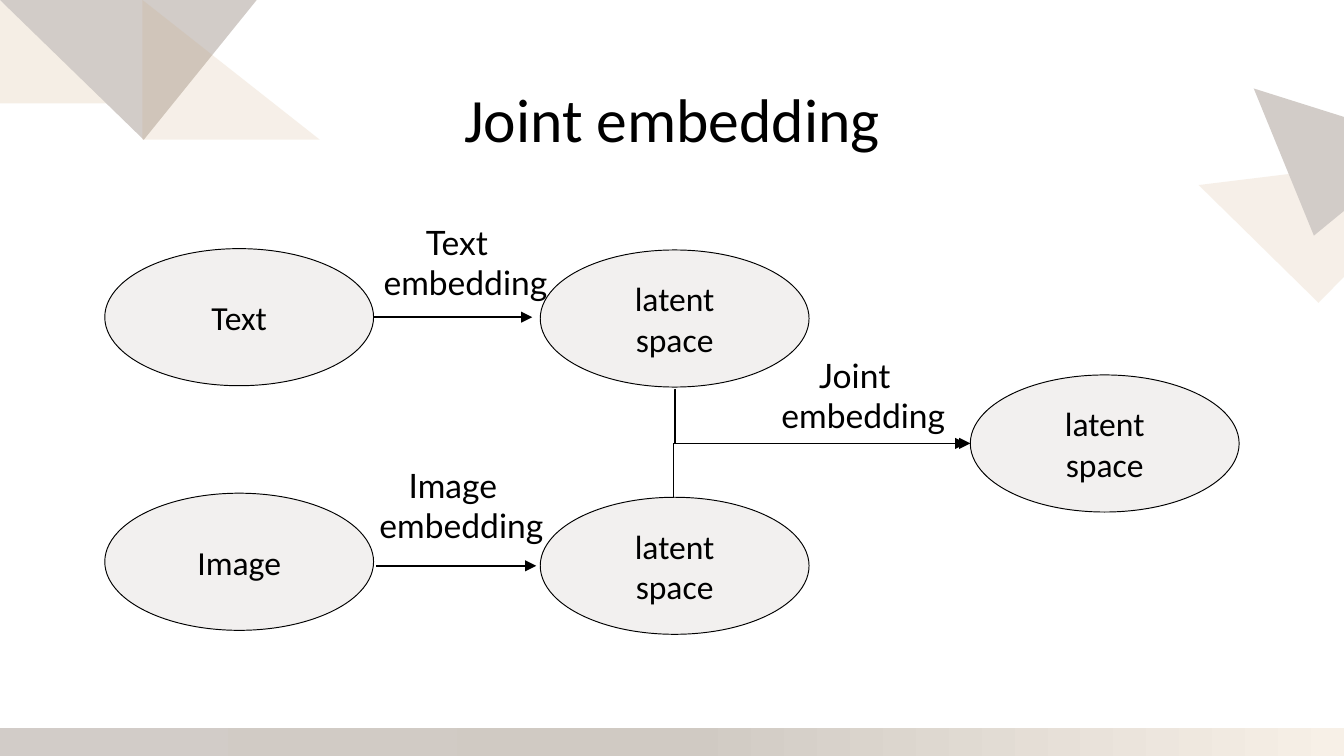
from copy import deepcopy

from lxml.etree import SubElement
from pptx import Presentation
from pptx.dml.color import RGBColor
from pptx.enum.shapes import MSO_CONNECTOR as LINK, MSO_SHAPE as SHAPE
from pptx.enum.text import MSO_ANCHOR as ANCHOR, PP_ALIGN as ALIGN
from pptx.oxml.ns import qn
from pptx.util import Inches, Pt

COLORS = {"ink": "000000", "stone": "D2CCC8", "sand": "CCA677",
          "mist": "D0CAC3", "cream": "F7F0E7"}

deck = Presentation()
deck.slide_width = Inches(10)
deck.slide_height = deck.slide_width * 9 // 16
slide = deck.slides.add_slide(deck.slide_layouts[6])
shapes = slide.shapes
unit = deck.slide_width / 100  # one percent of the slide's width, on both axes


def add_figure(kind, box, color, opacity=100):
    """Add a lineless shape; box is left, top, width, height in units."""
    figure = shapes.add_shape(kind, *(round(n * unit) for n in box))
    figure.shadow.inherit = False
    figure.line.fill.background()
    figure.fill.solid()
    figure.fill.fore_color.rgb = RGBColor.from_string(COLORS[color])
    if opacity < 100:
        rgb = figure.fill._xPr.find(".//" + qn("a:srgbClr"))
        SubElement(rgb, qn("a:alpha"), val=str(opacity * 1000))
    return figure


def write(frame, lines, size, font, rtl=True):
    """Fill a frame with one centred paragraph, broken between lines."""
    frame.word_wrap = True
    paragraph = frame.paragraphs[0]
    paragraph.alignment = ALIGN.CENTER
    if rtl:
        paragraph._p.get_or_add_pPr().set("rtl", "1")
    for i, line in enumerate(lines):
        if i:
            paragraph.add_line_break()
        run = paragraph.add_run()
        run.text = line
        run.font.size, run.font.name = Pt(size), font
        run.font.color.rgb = RGBColor.from_string(COLORS["ink"])


# Title
heading = shapes.add_textbox(*(round(n * unit) for n in (3.4, 3.5, 93.2, 9.1))).text_frame
heading.vertical_anchor = ANCHOR.BOTTOM
heading.margin_top = heading.margin_bottom = Inches(0.1)
write(heading, ["Joint embedding"], 33, "Calibri", rtl=False)
heading.paragraphs[0].line_spacing = 0.9

# Corner triangles: box, rotation, apex position, colour, opacity
for box, rotation, apex, color, opacity in [
    ((0, 0, 8.2, 7.7), 0, 0, "sand", 19),
    ((0, 0, 19.1, 10.4), 180, 0.44, "stone", 100),
    ((10.6, 0, 13.2, 10.4), 0, 0, "sand", 17),
    ((91.3, 6.3, 15.7, 12.5), 314.5, 0, "sand", 17),
    ((91.6, 8.4, 13.5, 9.1), 197.5, 0.44, "stone", 100),
]:
    triangle = add_figure(SHAPE.ISOSCELES_TRIANGLE, box, color, opacity)
    triangle.rotation = rotation
    triangle.adjustments[0] = apex

# Footer band
band = add_figure(SHAPE.RECTANGLE, (0, 54.2, 100, 2.1), "stone").fill
band.gradient()
band.gradient_angle = 0
first_stop = band._xPr.find(".//" + qn("a:gs"))
first_stop.addnext(deepcopy(first_stop))
for stop, position, color in zip(band.gradient_stops, (0, 0.51, 1), ("stone", "mist", "cream")):
    stop.position = position
    stop.color.rgb = RGBColor.from_string(COLORS[color])

# Nodes
for left, top, caption in [
    (7.8, 18.5, "Text"), (7.8, 36.7, "Image"),
    (40.2, 18.6, "latent space"), (40.2, 37, "latent space"),
    (72.2, 27.9, "latent space"),
]:
    node = add_figure(SHAPE.OVAL, (left, top, 20, 10.2), "stone", 28)
    node.line.color.rgb = RGBColor.from_string(COLORS["ink"])
    node.line.width = Pt(0.5)
    node.text_frame.vertical_anchor = ANCHOR.MIDDLE
    write(node.text_frame, [caption], 18, "Calibri")

# Edge labels
for left, top, subject in [(52.4, 25.9, "Joint"), (22.8, 16, "Text"), (22.5, 34.1, "Image")]:
    label = shapes.add_textbox(*(round(n * unit) for n in (left, top, 22.4, 7.1)))
    write(label.text_frame, [subject, " embedding "], 18, "Lato")

# Arrows: kind, ends, width, bend position
for kind, ends, width, bend in [
    (LINK.STRAIGHT, (28, 42.1, 39.9, 42.1), 1, None),
    (LINK.STRAIGHT, (27.8, 23.6, 39.6, 23.6), 1, None),
    (LINK.ELBOW, (50.3, 29, 71.9, 33), 0.75, -400),
    (LINK.ELBOW, (50.1, 37, 72.2, 33), 0.75, 100),
]:
    arrow = shapes.add_connector(kind, *(round(n * unit) for n in ends))
    arrow.line.color.rgb = RGBColor.from_string(COLORS["ink"])
    arrow.line.width = Pt(width)
    SubElement(arrow.line._get_or_add_ln(), qn("a:tailEnd"), type="triangle")
    properties = arrow._element.spPr
    SubElement(properties, qn("a:effectLst"))
    if bend is not None:
        guides = properties.find(".//" + qn("a:avLst"))
        SubElement(guides, qn("a:gd"), name="adj1", fmla=f"val {bend}")

deck.save("out.pptx")
